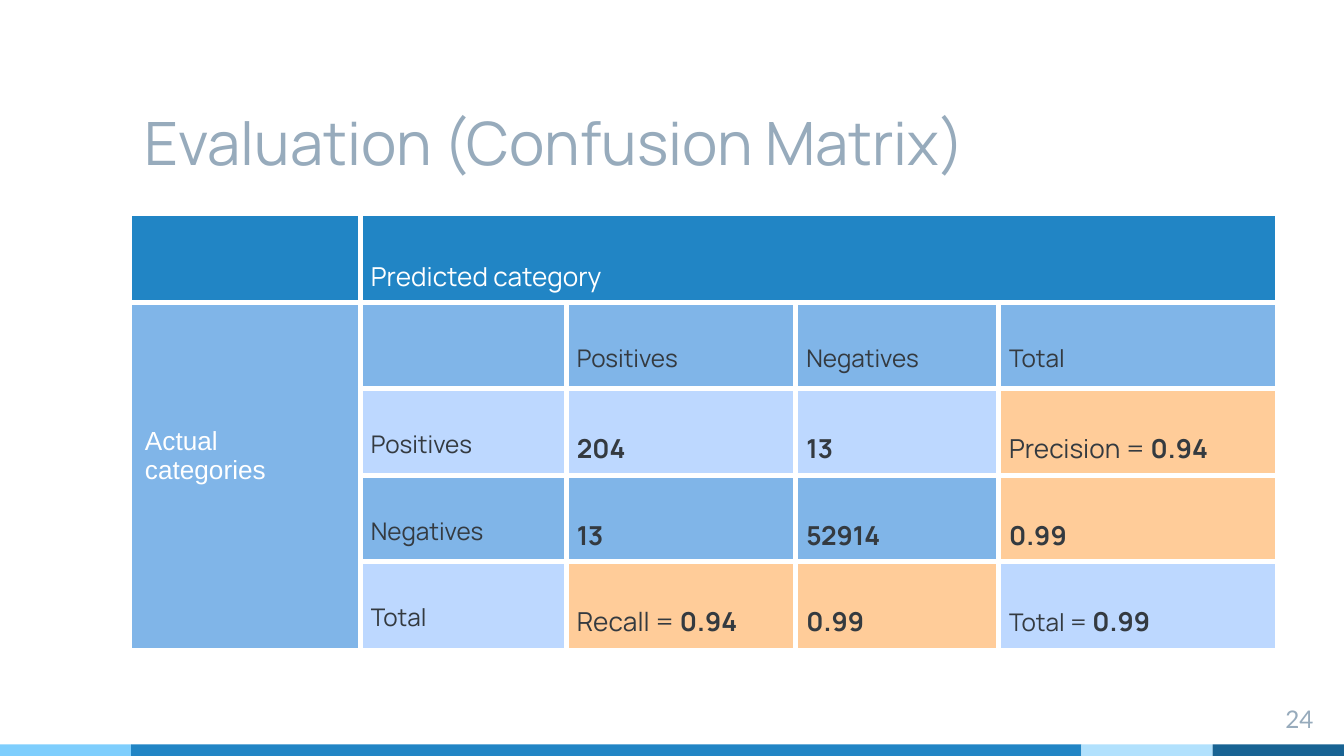
from dataclasses import dataclass
from itertools import product
from lxml.etree import SubElement
from pptx import Presentation
from pptx.dml.color import RGBColor
from pptx.enum.shapes import MSO_SHAPE as SHAPE
from pptx.enum.text import MSO_ANCHOR as ANCHOR, PP_ALIGN as ALIGN
from pptx.oxml.ns import qn
from pptx.util import Cm, Pt


@dataclass(frozen=True)
class Theme:
    white: str = "FFFFFF"
    ink: str = "343A40"
    muted: str = "97ABBC"
    blue: str = "2185C5"
    navy: str = "186393"
    sky: str = "7ECEFD"
    ice: str = "B1E1FD"
    mid: str = "80B5E8"
    pale: str = "BDD8FF"
    score: str = "FFCC99"
    font: str = "Manrope"
    number_font: str = "Lato"
    side_font: str = "Arial"
    title: int = 32
    body: int = 14
    label: int = 13
    rule: int = 3


T = Theme()


@dataclass(frozen=True)
class Box:
    x: float
    y: float
    w: float
    h: float

    def emu(self):
        return Cm(self.x), Cm(self.y), Cm(self.w), Cm(self.h)


def add_run(p, text, size, color, font=T.font, bold=False):
    r = p.add_run()
    r.text = text
    r.font.size = Pt(size)
    r.font.name = font
    r.font.bold = bold
    r.font.color.rgb = RGBColor.from_string(color)


def add_text(slide, box, text, size, font, align, anchor):
    tf = slide.shapes.add_textbox(*box.emu()).text_frame
    tf.word_wrap = True
    tf.vertical_anchor = anchor
    tf.margin_left = tf.margin_right = tf.margin_top = tf.margin_bottom = Cm(0.25)
    p = tf.paragraphs[0]
    p.alignment = align
    add_run(p, text, size, T.muted, font)


def add_footer_bar(slide, box):
    side = 2.48
    parts = [(side, T.sky), (box.w - 3 * side, T.blue), (side, T.ice), (side, T.navy)]
    x = box.x
    for width, color in parts:
        sp = slide.shapes.add_shape(SHAPE.RECTANGLE, *Box(x, box.y, width, box.h).emu())
        sp.shadow.inherit = False
        sp.fill.solid()
        sp.fill.fore_color.rgb = RGBColor.from_string(color)
        sp.line.fill.background()
        x += width


def set_borders(cell, inner):
    tc_pr = cell._tc.get_or_add_tcPr()
    for side in ("lnL", "lnR", "lnT", "lnB"):
        ln = SubElement(tc_pr, qn(f"a:{side}"), w=str(Pt(T.rule)))
        if side in inner:
            fill = SubElement(ln, qn("a:solidFill"))
            SubElement(fill, qn("a:srgbClr"), val=T.white)
        else:
            SubElement(ln, qn("a:noFill"))


def style_cell(cell, fill, inner):
    set_borders(cell, inner)
    cell.fill.solid()
    cell.fill.fore_color.rgb = RGBColor.from_string(fill)
    cell.margin_left = cell.margin_right = Cm(0.2)
    cell.margin_top = cell.margin_bottom = Cm(0.12)


def label(text):
    return text, T.label, T.ink, T.font, False


def lead(text):
    return text, T.body, T.ink, T.font, False


def value(text):
    return text, T.body, T.ink, T.font, True


def add_matrix(slide, box):
    widths = [4.32, 3.89, 4.34, 3.83, 5.23]
    header = ("Predicted category", T.body, T.white)
    rows = [
        [[], [header], [], [], []],
        [[], [], [label("Positives")], [label("Negatives")], [label("Total")]],
        [[], [label("Positives")], [value("204")], [value("13")],
         [lead("Precision = "), value("0.94")]],
        [[], [label("Negatives")], [value("13")], [value("52914")], [value("0.99")]],
        [[], [label("Total")], [lead("Recall = "), value("0.94")], [value("0.99")],
         [label("Total = "), value("0.99")]],
    ]
    scores = {(2, 4), (3, 4), (4, 2), (4, 3)}
    n_rows, n_cols = len(rows), len(widths)
    table = slide.shapes.add_table(n_rows, n_cols, *box.emu()).table
    table.first_row = table.horz_banding = False
    for col, width in zip(table.columns, widths):
        col.width = Cm(width)
    for row in table.rows:
        row.height = Cm(box.h / n_rows)
    table.cell(0, 1).merge(table.cell(0, n_cols - 1))
    table.cell(1, 0).merge(table.cell(n_rows - 1, 0))

    for i, j in product(range(n_rows), range(n_cols)):
        cell = table.cell(i, j)
        if cell.is_spanned:
            continue
        edges = {
            "lnL": j > 0,
            "lnT": i > 0,
            "lnR": j + cell.span_width < n_cols,
            "lnB": i + cell.span_height < n_rows,
        }
        if i == 0:
            fill = T.blue
        elif (i, j) in scores:
            fill = T.score
        else:
            fill = T.mid if i % 2 else T.pale
        style_cell(cell, fill, {side for side, shown in edges.items() if shown})
        p = cell.text_frame.paragraphs[0]
        if rows[i][j]:
            p.line_spacing = 2.0
        for run in rows[i][j]:
            add_run(p, *run)

    side = table.cell(1, 0)
    side.margin_left = Cm(0.25)
    side.margin_top = Cm(2.34)
    tf = side.text_frame
    add_run(tf.paragraphs[0], "Actual", T.body, T.white, T.side_font)
    add_run(tf.add_paragraph(), "categories", T.body, T.white, T.side_font)


def build_slide(prs):
    slide = prs.slides.add_slide(prs.slide_layouts[6])
    add_footer_bar(slide, Box(0, 14.07, 25.4, 0.22))
    add_text(slide, Box(2.49, 1.22, 17.96, 2.39), "Evaluation (Confusion Matrix)",
             T.title, T.font, ALIGN.LEFT, ANCHOR.BOTTOM)
    add_text(slide, Box(23.55, 13.06, 1.52, 0.86), "24",
             T.label, T.number_font, ALIGN.RIGHT, ANCHOR.TOP)
    add_matrix(slide, Box(2.49, 4.09, 21.61, 8.15))


def main():
    prs = Presentation()
    prs.slide_width, prs.slide_height = Cm(25.4), Cm(14.29)
    build_slide(prs)
    prs.save("out.pptx")


if __name__ == "__main__":
    main()
